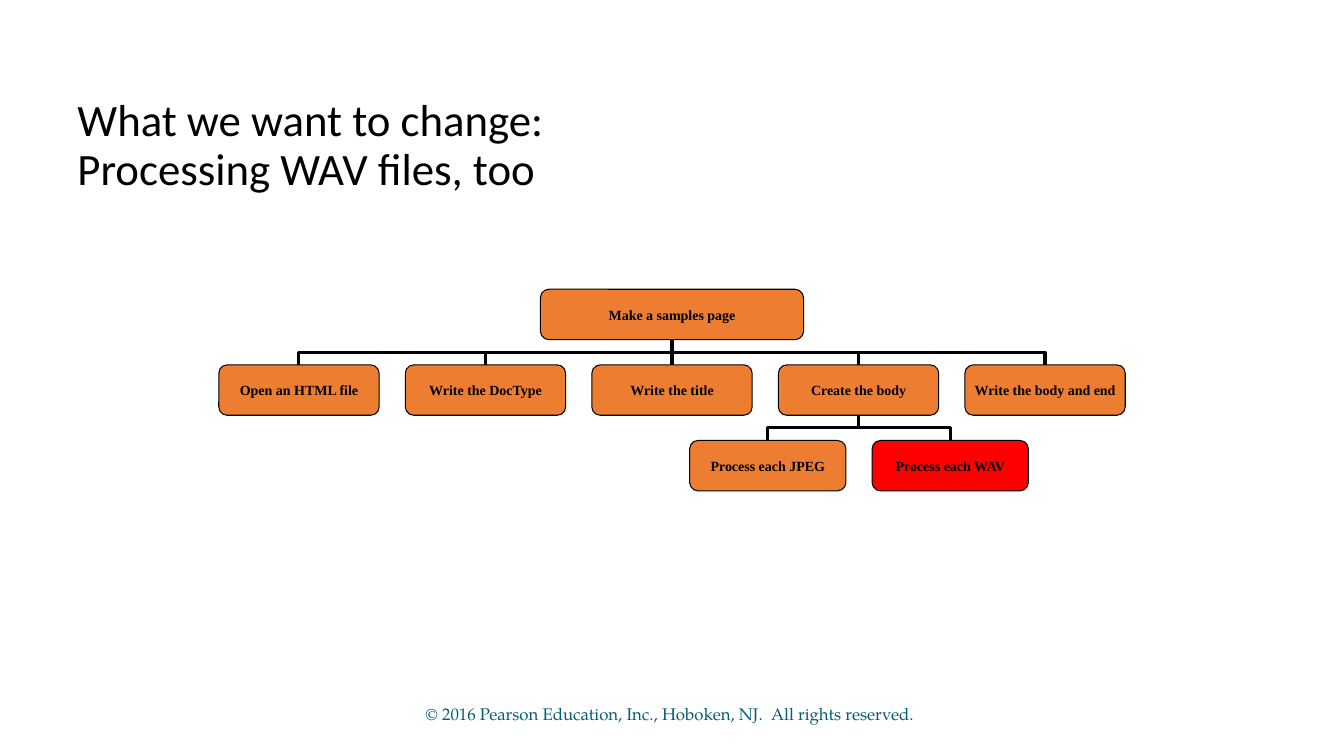
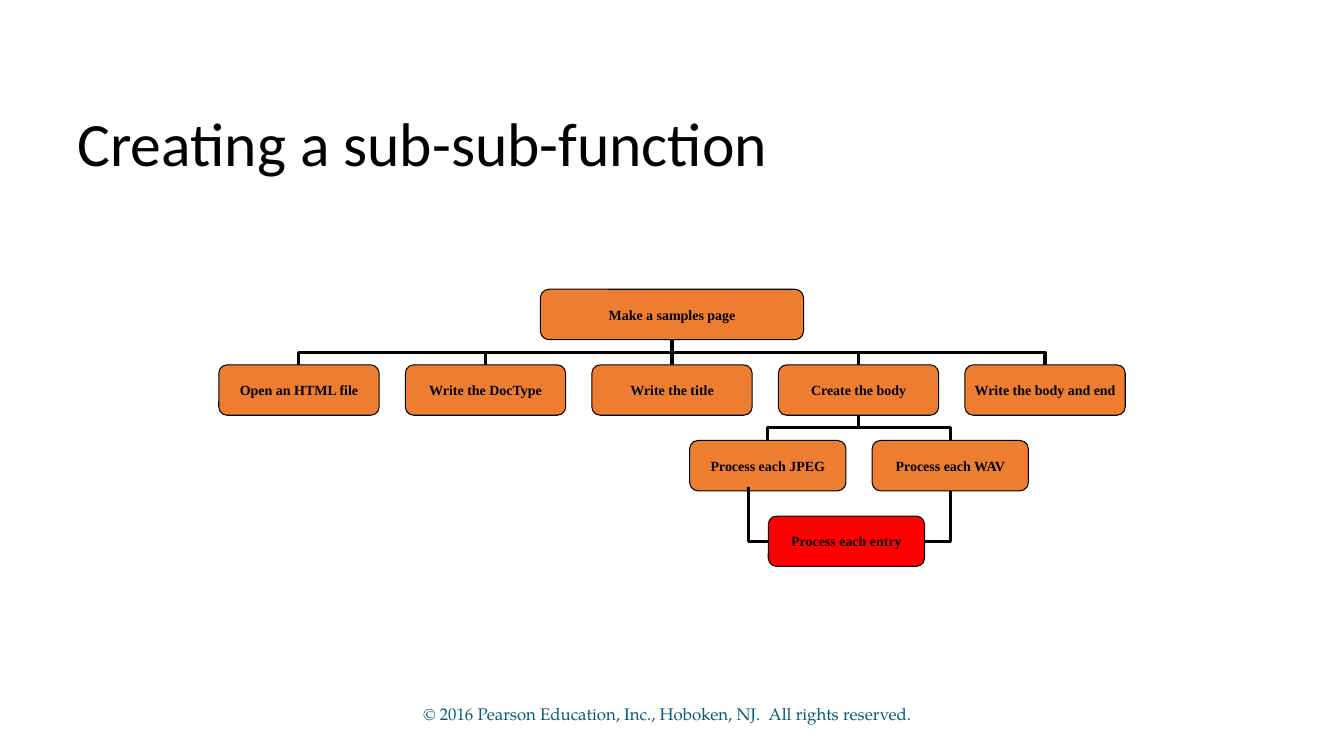
"""Builds two slides that show a function tree growing by one level."""
import pptx
import pptx.util
import pptx.dml.color
import pptx.enum.shapes
import pptx.enum.text
import pptx.oxml
import pptx.oxml.ns

Inches = pptx.util.Inches
Pt = pptx.util.Pt
RGBColor = pptx.dml.color.RGBColor
ANCHOR = pptx.enum.text.MSO_ANCHOR
ALIGN = pptx.enum.text.PP_ALIGN
WIRE = pptx.enum.shapes.MSO_CONNECTOR
QN = pptx.oxml.ns.qn

BLACK = RGBColor(0x00, 0x00, 0x00)
ORANGE = RGBColor(0xED, 0x7D, 0x31)
RED = RGBColor(0xFF, 0x00, 0x00)
TEAL = RGBColor(0x04, 0x5C, 0x75)

FOOTER = "© 2016 Pearson Education, Inc., Hoboken, NJ.  All rights reserved. "
ROOT = "Make a samples page"
STEPS = ["Open an HTML file", "Write the DocType", "Write the title",
         "Create the body", "Write the body and end"]
PARTS = ["Process each JPEG", "Process each WAV"]
ENTRY = "Process each entry"
SLIDES = [
    {"title": ["What we want to change:", "Processing WAV files, too"],
     "size": 32, "new": "Process each WAV", "entry": False, "foot": 5.17},
    {"title": ["Creating a sub-sub-function"],
     "size": 44, "new": ENTRY, "entry": True, "foot": 5.08},
]

TOP, TALL, RISE = 2.87, 0.5, 0.75
TOPS = [TOP + i * RISE for i in range(4)]
ROOT_X, ROOT_W = 5.36, 2.61
STEP_X, STEP_W, STEP_GAP = 2.17, 1.59, 0.26
PART_X, PART_W, PART_GAP = 6.84, 1.55, 0.26
ENTRY_X, ELBOW_X = 7.62, 7.42


def style(run, size, face, color, bold=False):
    font = run.font
    font.size, font.name, font.bold = Pt(size), face, bold
    font.color.rgb = color


def label(slide, lines, area, size, face, color, align, spacing):
    box = slide.shapes.add_textbox(*map(Inches, area))
    frame = box.text_frame
    frame.word_wrap = True
    frame.vertical_anchor = ANCHOR.MIDDLE
    para = frame.paragraphs[0]
    para.alignment, para.line_spacing = align, spacing
    for index, line in enumerate(lines):
        if index:
            para.add_line_break()
        run = para.add_run()
        run.text = line
        style(run, size, face, color)


def wire(slide, kind, ends, turn=0, corner=False):
    line = slide.shapes.add_connector(kind, *map(Inches, ends))
    line.line.width = Pt(2.25)
    line.line.color.rgb = BLACK
    props = line.element.spPr
    props.append(pptx.oxml.parse_xml(
        "<a:effectLst %s/>" % pptx.oxml.ns.nsdecls("a")))
    if turn:
        props.find(QN("a:xfrm")).set("rot", str(turn * 60000))
    if corner:
        props.find(QN("a:prstGeom")).set("prst", "bentConnector2")


def branch(slide, x, top, stem):
    base = top - RISE + TALL
    if abs(x - stem) < 0.02:
        wire(slide, WIRE.STRAIGHT, (stem, top, stem, base))
        return
    side = 1 if x > stem else -1
    mid_x, mid_y = (x + stem) / 2, (top + base) / 2
    reach, drop = abs(x - stem) / 2, (top - base) / 2
    wire(slide, WIRE.ELBOW, (mid_x + side * drop, mid_y - reach,
                             mid_x - side * drop, mid_y + reach),
         90 if side > 0 else 270)


def node(slide, text, left, top, width, new):
    box = slide.shapes.add_shape(
        pptx.enum.shapes.MSO_SHAPE.ROUNDED_RECTANGLE,
        *map(Inches, (left, top, width, TALL)))
    box.shadow.inherit = False
    box.fill.solid()
    box.fill.fore_color.rgb = RED if text == new else ORANGE
    box.line.color.rgb = BLACK
    box.line.width = Pt(0.75)
    frame = box.text_frame
    frame.word_wrap = False
    frame.vertical_anchor = ANCHOR.MIDDLE
    para = frame.paragraphs[0]
    para.alignment = ALIGN.CENTER
    run = para.add_run()
    run.text = text
    style(run, 10, "Times New Roman", BLACK, True)


def spread(names, left, width, gap):
    return [left + i * (width + gap) for i in range(len(names))]


def tree(slide, new, entry):
    steps = spread(STEPS, STEP_X, STEP_W, STEP_GAP)
    parts = spread(PARTS, PART_X, PART_W, PART_GAP)
    mid = TOPS[3] + TALL / 2
    base = TOPS[2] + TALL
    if entry:
        wire(slide, WIRE.ELBOW, (ENTRY_X + PART_W, mid,
                                 parts[1] + PART_W / 2, base), corner=True)
    for x in reversed(parts):
        branch(slide, x + PART_W / 2, TOPS[2], steps[3] + STEP_W / 2)
    for x in reversed(steps):
        branch(slide, x + STEP_W / 2, TOPS[1], ROOT_X + ROOT_W / 2)
    node(slide, ROOT, ROOT_X, TOP, ROOT_W, new)
    for names, lefts, top, width in [(STEPS, steps, TOPS[1], STEP_W),
                                     (PARTS, parts, TOPS[2], PART_W)]:
        for name, x in zip(names, lefts):
            node(slide, name, x, top, width, new)
    if entry:
        node(slide, ENTRY, ENTRY_X, TOPS[3], PART_W, new)
        wire(slide, WIRE.ELBOW, (ELBOW_X, base - 0.04, ENTRY_X, mid),
             180, True)


def main():
    deck = pptx.Presentation()
    deck.slide_width, deck.slide_height = Inches(13.33), Inches(7.5)
    for item in SLIDES:
        slide = deck.slides.add_slide(deck.slide_layouts[6])
        label(slide, item["title"], (0.67, 0.83, 12, 1.25), item["size"],
              "Calibri", BLACK, ALIGN.LEFT, 0.9)
        tree(slide, item["new"], item["entry"])
        label(slide, [FOOTER], (4.08, 6.83, item["foot"], 0.5), 12,
              "TeX Gyre Pagella", TEAL, ALIGN.CENTER, 1.0)
    deck.save("out.pptx")


if __name__ == "__main__":
    main()
